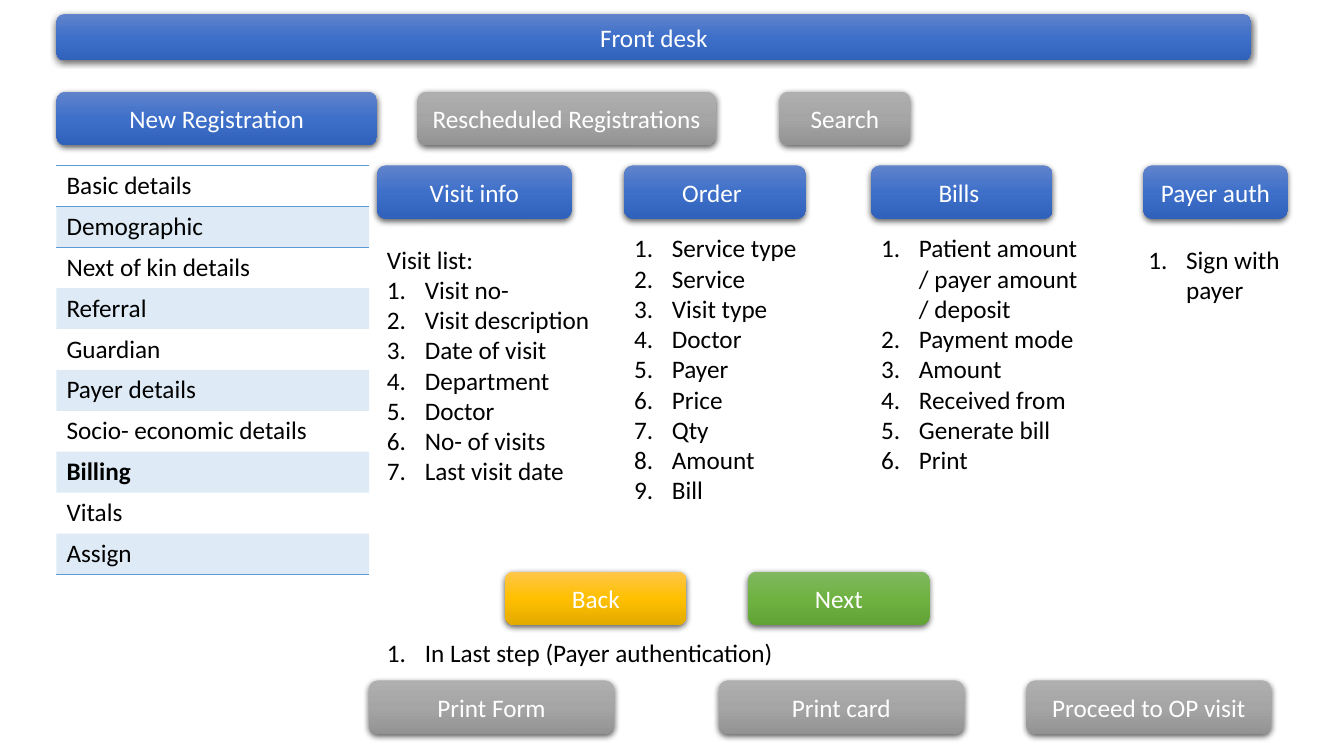
from lxml import etree
from pptx import Presentation, util as u
from pptx.dml import color
from pptx.enum import shapes, text
from pptx.oxml import ns

PX = 9144
THEME = {
    "font": "Calibri", "size": 18, "dark": "000000", "light": "FFFFFF", "accent": "5B9BD5",
    "blue": ("6183CB", "3E70CA", "3062BB"),
    "gray": ("AFAFAF", "A5A5A5", "939393"),
    "gold": ("FFC64B", "FFC000", "E3AB00"),
    "green": ("81B861", "6FB242", "62A336"),
}
BUTTON_ROWS = [
    (14, 46, [("Front desk", "blue", 56, 1185)]),
    (91, 53, [("New Registration", "blue", 56, 318),
              ("Rescheduled Registrations", "gray", 414, 296),
              ("Search", "gray", 773, 130)]),
    (164, 53, [("Visit info", "blue", 374, 193), ("Order ", "blue", 619, 180),
               ("Bills ", "blue", 864, 180), ("Payer auth", "blue", 1134, 143)]),
    (567, 53, [("Back", "gold", 501, 180), ("Next", "green", 742, 180)]),
    (675, 53, [("Print Form", "gray", 366, 243), ("Print card", "gray", 713, 243),
               ("Proceed to OP visit", "gray", 1018, 243)]),
]
LISTS = [
    ((374, 237, 246, 252), "Visit list:",
     ["Visit no-", "Visit description", "Date of visit", "Department", "Doctor",
      "No- of visits", "Last visit date"]),
    ((619, 226, 245, 283), None,
     ["Service type", "Service", "Visit type", "Doctor", "Payer", "Price", "Qty",
      "Amount", "Bill"]),
    ((864, 226, 215, 283), None,
     ["Patient amount / payer amount / deposit", "Payment mode", "Amount",
      "Received from", "Generate bill", "Print"]),
    ((1129, 237, 162, 71), None, ["Sign with payer"]),
    ((374, 627, 457, 40), None, ["In Last step (Payer authentication)"]),
]
MENU_AREA = (56, 164, 310, 406)
MENU = ["Basic details", "Demographic", "Next of kin details", "Referral", "Guardian",
        "Payer details", "Socio- economic details", "Billing", "Vitals", "Assign"]
MENU_CURRENT = "Billing"
NO_STYLE = "{2D5ABB26-0587-4C30-8999-92F81FD0307C}"


def emu(*lengths):
    return [u.Emu(length * PX) for length in lengths]


def element(parent, tag, **values):
    return etree.SubElement(parent, ns.qn(tag), {key: str(value) for key, value in values.items()})


def write(para, words, tint, bold=False):
    span = para.add_run()
    span.text = words
    formats = {"name": THEME["font"], "size": u.Pt(THEME["size"]), "bold": bold}
    for name, value in formats.items():
        setattr(span.font, name, value)
    span.font.color.rgb = color.RGBColor.from_string(THEME[tint])


def add_button(page, words, tint, area):
    button = page.shapes.add_shape(shapes.MSO_SHAPE.ROUNDED_RECTANGLE, *emu(*area))
    button.line.fill.background()
    button.shadow.inherit = False
    properties = button._element.spPr
    gradient = etree.Element(ns.qn("a:gradFill"), rotWithShape="1")
    stops = element(gradient, "a:gsLst")
    for place, shade in zip((0, 50000, 100000), THEME[tint]):
        element(element(stops, "a:gs", pos=place), "a:srgbClr", val=shade)
    element(gradient, "a:lin", ang=5400000, scaled=0)
    properties.find(ns.qn("a:prstGeom")).addnext(gradient)
    shadow = element(properties.find(ns.qn("a:effectLst")), "a:outerShdw", blurRad=57150,
                     dist=19050, dir=5400000, algn="ctr", rotWithShape=0)
    element(element(shadow, "a:srgbClr", val=THEME["dark"]), "a:alpha", val=63000)
    frame = button.text_frame
    frame.vertical_anchor = text.MSO_ANCHOR.MIDDLE
    para = frame.paragraphs[0]
    para.alignment = text.PP_ALIGN.CENTER
    write(para, words, "light")


def add_list(page, area, heading, items):
    box = page.shapes.add_textbox(*emu(*area))
    frame = box.text_frame
    frame.word_wrap = True
    frame.auto_size = text.MSO_AUTO_SIZE.SHAPE_TO_FIT_TEXT
    lines = ([(heading, False)] if heading else []) + [(item, True) for item in items]
    for index, (words, numbered) in enumerate(lines):
        para = frame.add_paragraph() if index else frame.paragraphs[0]
        if numbered:
            properties = para._p.get_or_add_pPr()
            properties.set("marL", "342900")
            properties.set("indent", "-342900")
            element(properties, "a:buFont", typeface="+mj-lt")
            element(properties, "a:buAutoNum", type="arabicPeriod")
        write(para, words, "dark")


def add_border(cell, tag):
    border = etree.Element(ns.qn(tag), w=str(u.Pt(1)))
    element(element(border, "a:solidFill"), "a:srgbClr", val=THEME["accent"])
    return border


def add_menu(page):
    table = page.shapes.add_table(len(MENU), 1, *emu(*MENU_AREA)).table
    table.first_row = table.horz_banding = False
    table._tbl.tblPr.find(ns.qn("a:tableStyleId")).text = NO_STYLE
    borders = {0: ("a:lnT", "a:lnB"), 1: ("a:lnT",), len(MENU) - 1: ("a:lnB",)}
    for index, words in enumerate(MENU):
        table.rows[index].height = u.Emu(MENU_AREA[3] * PX // len(MENU))
        cell = table.cell(index, 0)
        write(cell.text_frame.paragraphs[0], words, "dark", words == MENU_CURRENT)
        properties = cell._tc.get_or_add_tcPr()
        if index % 2:
            cell.fill.solid()
            cell.fill.fore_color.rgb = color.RGBColor.from_string(THEME["accent"])
            element(properties.find(".//" + ns.qn("a:srgbClr")), "a:alpha", val=20000)
        else:
            cell.fill.background()
        for position, tag in enumerate(borders.get(index, ())):
            properties.insert(position, add_border(cell, tag))


def main():
    deck = Presentation()
    deck.slide_width, deck.slide_height = emu(1333, 750)
    page = deck.slides.add_slide(deck.slide_layouts[6])
    add_menu(page)
    for top, height, buttons in BUTTON_ROWS:
        for words, tint, left, width in buttons:
            add_button(page, words, tint, (left, top, width, height))
    for area, heading, items in LISTS:
        add_list(page, area, heading, items)
    deck.save("out.pptx")


if __name__ == "__main__":
    main()
